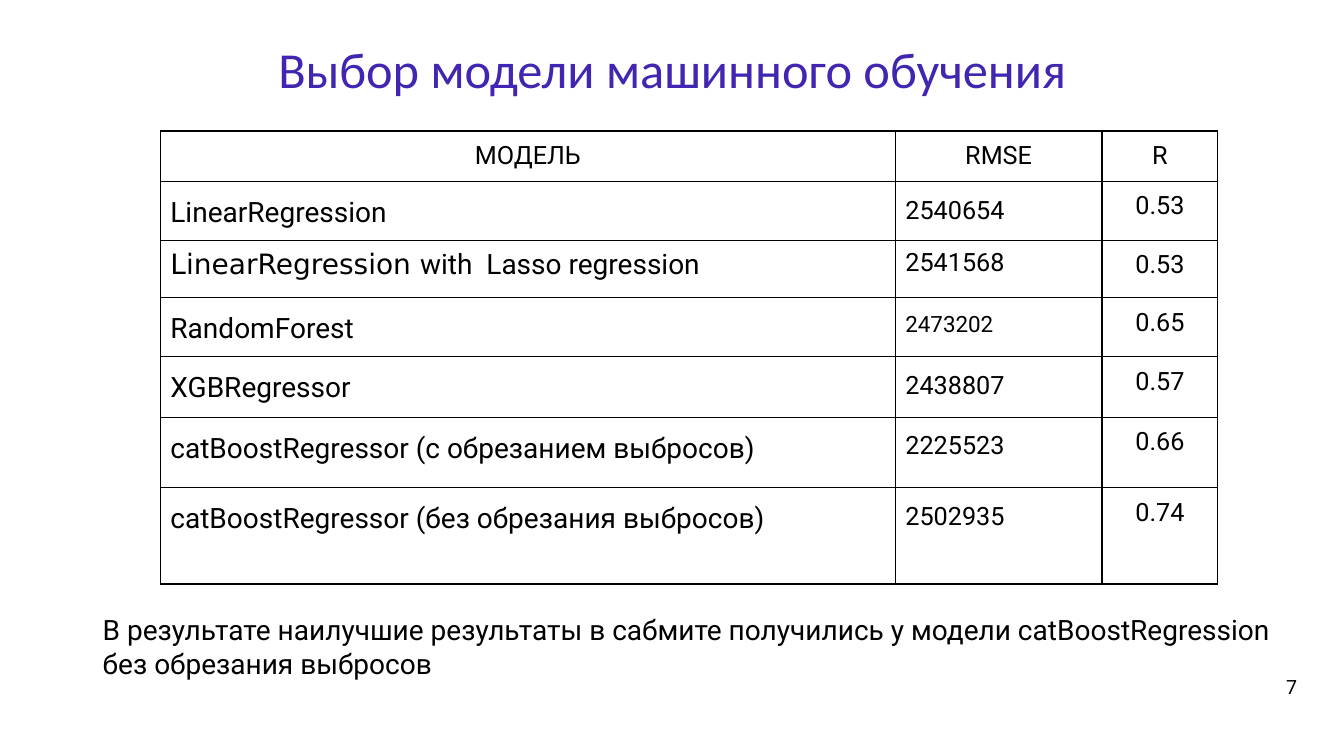
from lxml import etree
from pptx import Presentation
from pptx.dml.color import RGBColor
from pptx.enum.text import PP_ALIGN
from pptx.oxml.ns import qn
from pptx.util import Inches, Pt

CENTER = PP_ALIGN.CENTER
LEFT = PP_ALIGN.LEFT
COLORS = {"title": "4225B1", "text": "000000", "border": "000000"}
BODY_FONT = "Roboto"
COLUMN_WIDTHS = [7.29, 2.05, 1.15]
ROW_HEIGHTS = [0.49, 0.58, 0.57, 0.58, 0.6, 0.7, 0.96]
HEADERS = ["МОДЕЛЬ", "RMSE", "R"]
LOOSE = {"line_spacing": 1.15, "space_after": Pt(6)}
TIGHT = {"line_spacing": 0.9}
LASSO_RUNS = [("LinearRegression ", "DejaVu Sans"),
              ("with  Lasso regression", BODY_FONT)]
MODELS = [
    ([("LinearRegression", BODY_FONT)], "2540654", 18, "0.53", LOOSE),
    (LASSO_RUNS, "2541568", 18, "0.53", TIGHT),
    ([("RandomForest", BODY_FONT)], "2473202", 16, "0.65", LOOSE),
    ([("XGBRegressor", BODY_FONT)], "2438807", 18, "0.57", LOOSE),
    ([("catBoostRegressor (с обрезанием выбросов)", BODY_FONT)],
     "2225523", 18, "0.66", LOOSE),
    ([("catBoostRegressor (без обрезания выбросов)", BODY_FONT)],
     "2502935", 18, "0.74", LOOSE),
]


def write_text(tf, runs, size, color="text", **formats):
    p = tf.paragraphs[0]
    for name, value in formats.items():
        setattr(p, name, value)
    for text, font in runs:
        r = p.add_run()
        r.text = text
        for name, value in {"name": font, "size": Pt(size)}.items():
            setattr(r.font, name, value)
        r.font.color.rgb = RGBColor.from_string(COLORS[color])


def add_text(s, box, runs, size, inset, **formats):
    sp = s.shapes.add_textbox(*map(Inches, box))
    tf = sp.text_frame
    tf.word_wrap = True
    for side in ("left", "top", "right", "bottom"):
        setattr(tf, f"margin_{side}", Inches(inset))
    write_text(tf, runs, size, **formats)


def add_borders(cell, widths):
    tcPr = cell._tc.get_or_add_tcPr()
    for side, width in widths.items():
        ln = etree.SubElement(tcPr, qn(f"a:ln{side}"), w=str(Pt(width)))
        fill = etree.SubElement(ln, qn("a:solidFill"))
        etree.SubElement(fill, qn("a:srgbClr"), val=COLORS["border"])


def fill_cell(cell, runs, size, widths, **formats):
    for side in ("left", "top", "right", "bottom"):
        setattr(cell, f"margin_{side}", Inches(0.1))
    add_borders(cell, widths)
    cell.fill.background()
    write_text(cell.text_frame, runs, size, **formats)


def add_model_table(s):
    rows, cols = len(ROW_HEIGHTS), len(COLUMN_WIDTHS)
    table = s.shapes.add_table(
        rows, cols, Inches(1.59), Inches(1.3),
        Inches(sum(COLUMN_WIDTHS)), Inches(sum(ROW_HEIGHTS))).table
    for column, width in zip(table.columns, COLUMN_WIDTHS):
        column.width = Inches(width)
    for row, height in zip(table.rows, ROW_HEIGHTS):
        row.height = Inches(height)

    centered = {"alignment": CENTER}
    lines = [[([(text, BODY_FONT)], 18, centered) for text in HEADERS]]
    for model, rmse, rmse_size, score, spacing in MODELS:
        lines.append([(model, 20, spacing),
                      ([(rmse, BODY_FONT)], rmse_size, spacing),
                      ([(score, BODY_FONT)], 18, centered)])
    for i, line in enumerate(lines):
        for j, (runs, size, formats) in enumerate(line):
            widths = {"L": 1.5 if j == 2 else 0.75,
                      "R": 1.5 if j == 1 else 0.75,
                      "T": 1.5 if i == 0 else 0.75,
                      "B": 1.5 if i == rows - 1 else 0.75}
            fill_cell(table.cell(i, j), runs, size, widths, **formats)


def main():
    prs = Presentation()
    prs.slide_width = Inches(13.33)
    prs.slide_height = Inches(7.5)
    s = prs.slides.add_slide(prs.slide_layouts[6])
    add_text(s, (12.53, 6.65, 0.56, 0.34), [("7", BODY_FONT)], 14, 0.05,
             alignment=CENTER)
    add_text(s, (0.92, 0.4, 11.5, 1.45),
             [("Выбор модели машинного обучения", "Calibri")], 36, 0.05,
             color="title", alignment=CENTER, line_spacing=0.9)
    add_model_table(s)
    add_text(s, (0.92, 5.98, 11.78, 0.77),
             [("В результате наилучшие результаты в сабмите получились у модели "
               "catBoostRegression без обрезания выбросов", BODY_FONT)],
             20, 0.1, alignment=LEFT)
    prs.save("out.pptx")


if __name__ == "__main__":
    main()
